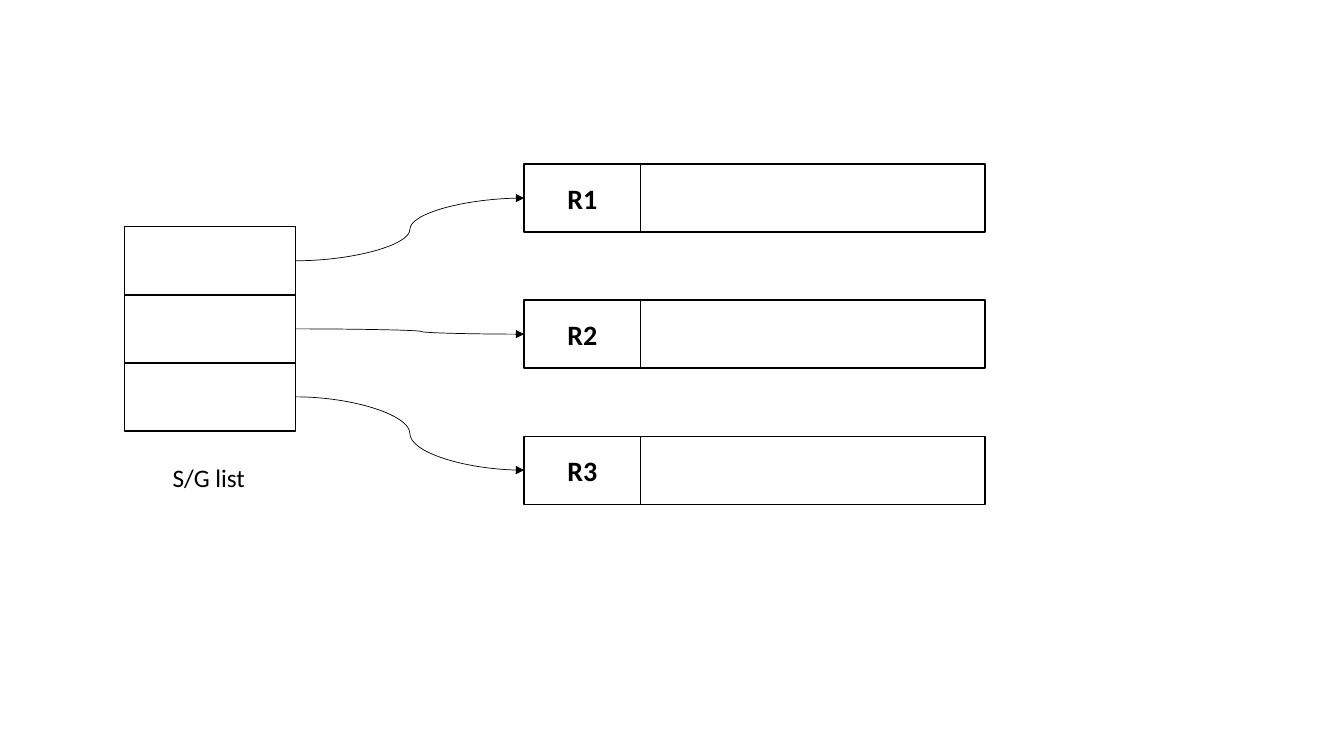
from pptx import Presentation
from pptx.dml.color import RGBColor
from pptx.enum.shapes import MSO_CONNECTOR, MSO_SHAPE
from pptx.enum.text import MSO_ANCHOR, MSO_AUTO_SIZE, PP_ALIGN
from pptx.oxml.ns import qn
from pptx.util import Inches, Pt
from lxml import etree

RECT = MSO_SHAPE.RECTANGLE
CURVE = MSO_CONNECTOR.CURVE
MIDDLE = MSO_ANCHOR.MIDDLE
FIT = MSO_AUTO_SIZE.SHAPE_TO_FIT_TEXT
LEFT, CENTER = PP_ALIGN.LEFT, PP_ALIGN.CENTER
LEFT_SITE, RIGHT_SITE = 1, 3

WIDE, HIGH = 13.33, 7.5


def color(code):
    """Turn a hex string into a colour."""
    return RGBColor.from_string(code)


def write(frame, text, font="Calibri", size=18, ink="000000", bold=False, align=LEFT):
    """Put formatted text into a text frame."""
    line = frame.paragraphs[0]
    line.alignment = align
    run = line.add_run()
    run.text = text
    run.font.name = font
    run.font.size = Pt(size)
    run.font.bold = bold
    run.font.color.rgb = color(ink)


class Board:
    """Style and current slide; places are in percent of the slide's size."""

    ink = "000000"
    border = 1
    thin = 0.5

    def __init__(self, slide):
        """Keep the slide to draw on."""
        self.shapes = slide.shapes

    def area(self, x, y, w, h):
        """Turn percent into lengths."""
        return [Inches(part * full / 100)
                for part, full in zip((x, y, w, h), (WIDE, HIGH, WIDE, HIGH))]

    def box(self, x, y, w, h, text=None):
        """Draw an outlined cell, with a bold centred label if given."""
        cell = self.shapes.add_shape(RECT, *self.area(x, y, w, h))
        cell.shadow.inherit = False
        cell.fill.background()
        cell.line.color.rgb = color(self.ink)
        cell.line.width = Pt(self.border)
        if text:
            cell.text_frame.vertical_anchor = MIDDLE
            write(cell.text_frame, text, size=20, ink=self.ink, bold=True, align=CENTER)
        return cell

    def label(self, x, y, w, h, text):
        """Draw a caption on one line."""
        frame = self.shapes.add_textbox(*self.area(x, y, w, h)).text_frame
        frame.word_wrap = False
        frame.auto_size = FIT
        write(frame, text, ink=self.ink)

    def arrow(self, start, end, bend=50):
        """Link two cells with a curved arrow that bends at a percent of its width."""
        link = self.shapes.add_connector(CURVE, 0, 0, 0, 0)
        link.begin_connect(start, RIGHT_SITE)
        link.end_connect(end, LEFT_SITE)
        link.line.color.rgb = color(self.ink)
        link.line.width = Pt(self.thin)
        props = link._element.spPr
        etree.SubElement(props.find(qn("a:ln")), qn("a:tailEnd"), type="triangle")
        etree.SubElement(props, qn("a:effectLst"))
        guides = props.find(qn("a:prstGeom")).find(qn("a:avLst"))
        etree.SubElement(guides, qn("a:gd"), name="adj1", fmla=f"val {bend * 1000}")


deck = Presentation()
deck.slide_width, deck.slide_height = Inches(WIDE), Inches(HIGH)
board = Board(deck.slides.add_slide(deck.slide_layouts[6]))

ROW = 9
LIST_X, LIST_Y, LIST_W = 9.25, 30, 12.75
TAG_X, TAG_Y, TAG_W = 39, 21.7, 8.65
DATA_W = 25.65
BENDS = (50, 55, 50)

entries = [board.box(LIST_X, LIST_Y + i * ROW, LIST_W, ROW) for i in range(len(BENDS))]
tags = []
for i in range(len(BENDS)):
    y = TAG_Y + 2 * i * ROW
    board.box(TAG_X + TAG_W, y, DATA_W, ROW)
    tags.append(board.box(TAG_X, y, TAG_W, ROW, f"R{i + 1}"))

board.label(12.1, 60.5, 7, 5.4, "S/G list")

for entry, tag, bend in zip(entries, tags, BENDS):
    board.arrow(entry, tag, bend)

deck.save("out.pptx")
